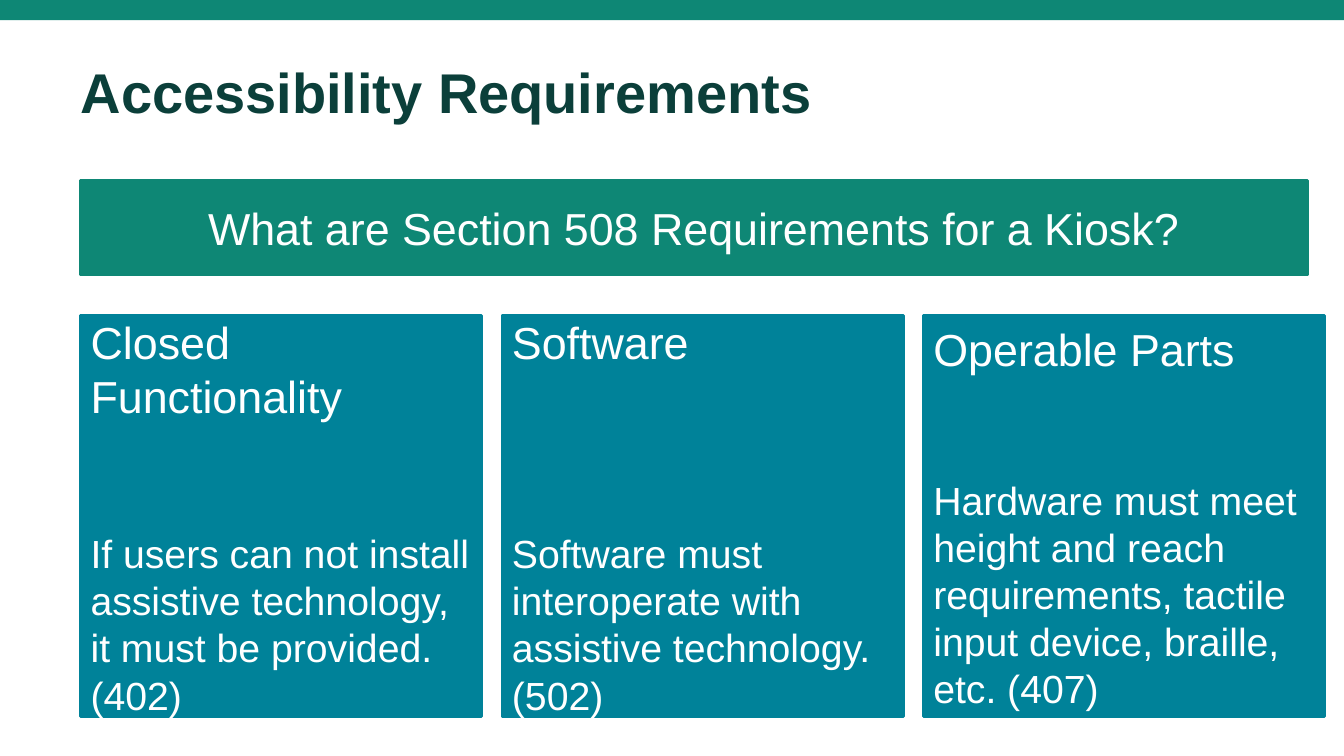
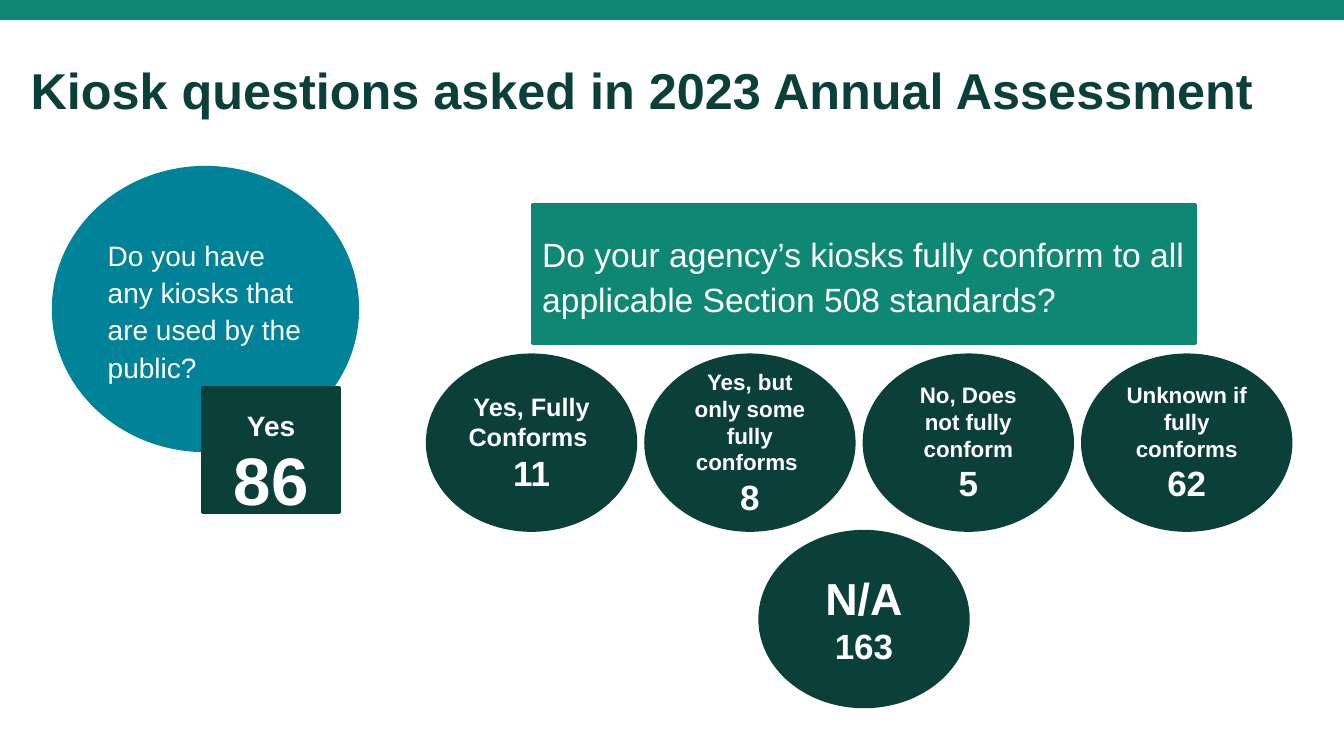
from dataclasses import dataclass

from pptx import Presentation
from pptx.dml.color import RGBColor
from pptx.enum import shapes, text
from pptx.util import Pt

RECT = shapes.MSO_SHAPE.RECTANGLE
OVAL = shapes.MSO_SHAPE.OVAL
LEFT, MID = text.PP_ALIGN.LEFT, text.PP_ALIGN.CENTER


@dataclass(frozen=True)
class Theme:
    # Colours
    green: str = "0E8775"
    teal: str = "008299"
    dark: str = "0B3F3A"
    white: str = "FFFFFF"
    # Type sizes
    font: str = "Arial"
    title: int = 40
    head: int = 32
    body: int = 28
    ask: int = 24
    note: int = 20
    small: int = 16
    count: int = 25
    big: int = 48
    # Height of one line, as a share of its type size
    line: float = 1.2


T = Theme()
WIDE, HIGH = 960, 540


def write(para, words, size, color=T.white, bold=False, align=LEFT,
          space=None, before=None):
    """Add one run to a paragraph and format both."""
    run = para.add_run()
    run.text = words
    font = run.font
    font.name, font.size, font.bold = T.font, Pt(size), bold
    font.color.rgb = RGBColor.from_string(color)
    para.alignment = align
    if space:
        para.line_spacing = space
    if before:
        para.space_before = Pt(before)


def panel(slide, box, color, kind=RECT):
    """Add a flat filled shape and return it with its first paragraph."""
    shape = slide.shapes.add_shape(kind, *map(Pt, box))
    shape.shadow.inherit = False
    tint = RGBColor.from_string(color)
    shape.fill.solid()
    shape.fill.fore_color.rgb = tint
    shape.line.color.rgb = tint
    shape.line.width = Pt(2)
    frame = shape.text_frame
    frame.word_wrap = True
    frame.vertical_anchor = text.MSO_ANCHOR.MIDDLE
    return shape, frame.paragraphs[0]


def band(deck, slide):
    """Place the top band on the master, behind everything."""
    bar, _ = panel(slide, (0, 0, WIDE, 14.4), T.green)
    bar.line.fill.background()
    deck.slide_master.element.cSld.spTree.insert(2, bar.element)


def head(slide, words, box, size):
    """Move and format the title placeholder."""
    title = slide.shapes.title
    title.left, title.top, title.width, title.height = map(Pt, box)
    frame = title.text_frame
    frame.margin_left = frame.margin_right = frame.margin_bottom = 0
    frame.margin_top = Pt(3.6)
    frame.word_wrap = True
    frame.vertical_anchor = text.MSO_ANCHOR.TOP
    frame.auto_size = text.MSO_AUTO_SIZE.SHAPE_TO_FIT_TEXT
    write(frame.paragraphs[0], words, size, T.dark, bold=True, space=0.9)


def cards(slide, box, items):
    """Fill a box with a row of equal cards: heading, gap, detail."""
    x, y, w, h = box
    gap = 14.4
    side = (w - gap * (len(items) - 1)) / len(items)
    for i, (name, detail, drop) in enumerate(items):
        card, para = panel(slide, (x + i * (side + gap), y, side, h), T.teal)
        write(para, name, T.head)
        write(card.text_frame.add_paragraph(), detail, T.body,
              before=drop * T.line)


def answer(slide, box, name, count, size=T.small):
    """Draw one oval with an answer and its count."""
    oval, para = panel(slide, box, T.dark, OVAL)
    write(para, name, size, bold=True, align=MID)
    write(oval.text_frame.add_paragraph(), count, T.count, bold=True,
          align=MID)


def public(slide, x, y):
    """Question about public kiosks, with its result overlapping."""
    _, para = panel(slide, (x, y, 217.5, 202.5), T.teal, OVAL)
    write(para, "Do you have any kiosks that are used by the public?",
          T.note, space=1.11)
    _, para = panel(slide, (x + 106.7, y + 157.5, 98, 89.2), T.dark)
    write(para, "Yes", T.note, bold=True, align=MID, space=0.85)
    write(para, " 86", T.big, bold=True, align=MID, space=0.85)


def conform(slide, x, y):
    """Question about conformance, a row of answers and one below."""
    wide, tall, step = 149, 125.4, 156
    ask, width = x + 75, 474
    _, para = panel(slide, (ask, y, width, 99.4), T.green)
    write(para, "Do your agency’s kiosks fully conform to all applicable "
          "Section 508 standards?", T.ask, space=1.11)
    row = [("Yes, Fully Conforms ", "11", 18),
           ("Yes, but only some fully conforms ", "8", T.small),
           ("No, Does not fully conform", "5", T.small),
           ("Unknown if fully conforms", "62", T.small)]
    top = y + 107.3
    for i, item in enumerate(row):
        answer(slide, (x + i * step, top, wide, tall), *item)
    mid = ask + (width - wide) / 2
    answer(slide, (mid, top + 126, wide, tall), "N/A", "163", T.head)


def needs(slide):
    """Slide of requirements: banner above three cards."""
    left = 57.6
    head(slide, "Accessibility Requirements", (left, 43.2, 844.8, 47.5),
         T.title)
    _, para = panel(slide, (left, 129, 876.5, 67.5), T.green)
    write(para, "What are Section 508 Requirements for a Kiosk?", T.head,
          align=MID)
    cards(slide, (left, 225.4, 888.6, 286.6), [
        ("Closed Functionality", "If users can not install assistive "
         "technology, it must be provided. (402)", 2 * T.head),
        ("Software", "Software must interoperate with assistive "
         "technology. (502)", 3 * T.head),
        ("Operable Parts", "Hardware must meet height and reach "
         "requirements, tactile input device, braille, etc. (407)",
         T.head + T.body)])


def survey(slide):
    """Slide of survey questions and counts."""
    head(slide, "Kiosk questions asked in 2023 Annual Assessment",
         (21.8, 43.2, 910.8, 43.2), 36)
    public(slide, 38, 119.5)
    conform(slide, 305.2, 146.2)


def main():
    deck = Presentation()
    deck.slide_width, deck.slide_height = Pt(WIDE), Pt(HIGH)
    plain = deck.slide_layouts[5]
    first, second = (deck.slides.add_slide(plain) for _ in range(2))
    band(deck, first)
    needs(first)
    survey(second)
    deck.save("out.pptx")


if __name__ == "__main__":
    main()
